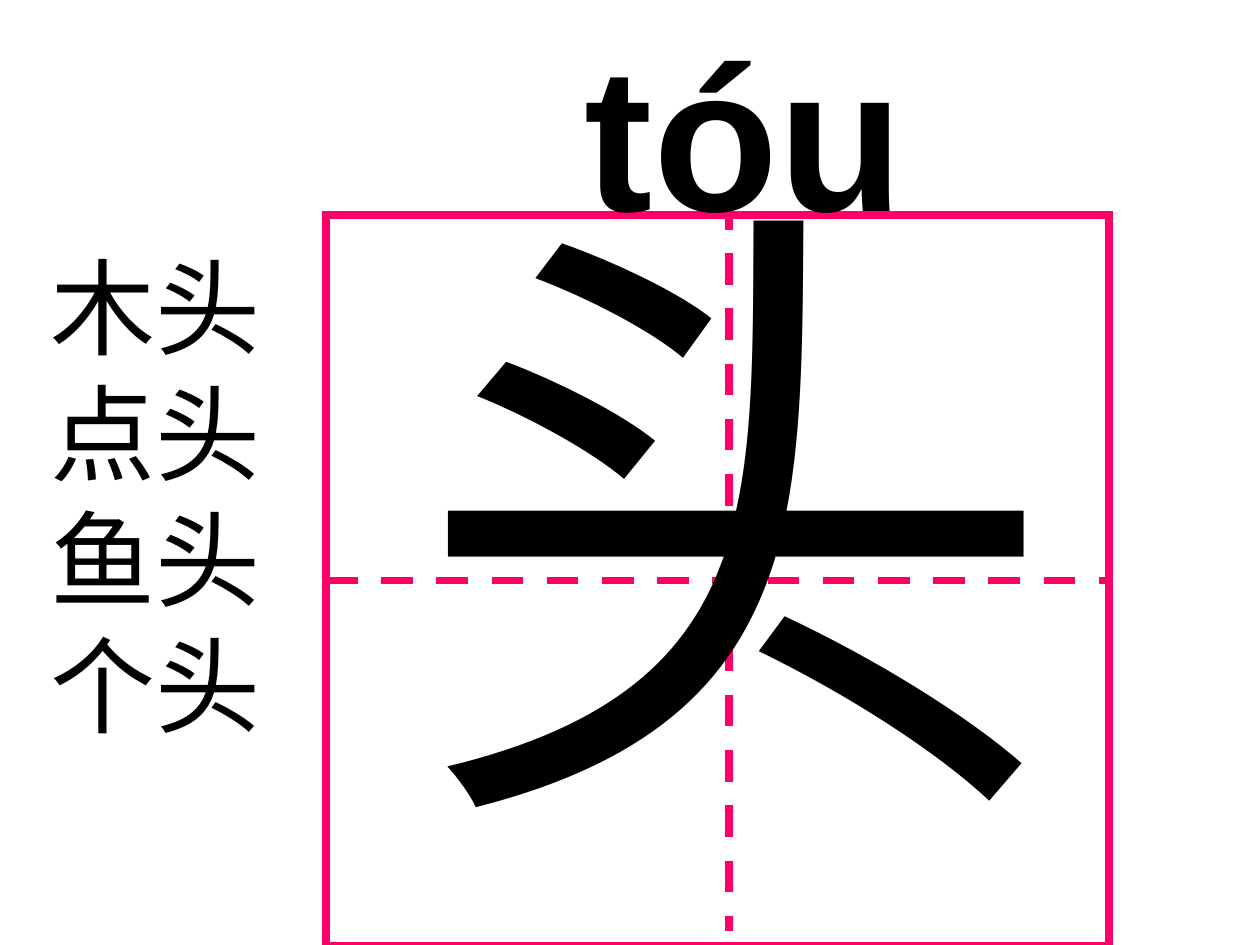
from lxml.etree import SubElement
from pptx import Presentation
from pptx.dml.color import RGBColor
from pptx.enum.dml import MSO_LINE
from pptx.enum.shapes import MSO_CONNECTOR as CONNECTOR, MSO_SHAPE as SHAPE
from pptx.enum.text import MSO_AUTO_SIZE as AUTO_SIZE
from pptx.oxml.ns import qn
from pptx.util import Pt

SCALE = 914400 / 126
INK = "000000"
PINK = "FF0066"
HANZI_FONT = "Arial"


def px(length):
    """Turn pixels into EMU."""
    return round(length * SCALE)


def color(hex_string):
    """Turn a hex string into a colour."""
    return RGBColor.from_string(hex_string)


class CharacterCard:
    """Draw the parts of a character card on one slide."""

    def __init__(self, slide):
        """Keep the slide and start the group of the writing grid."""
        self.slide = slide
        self.grid = slide.shapes.add_group_shape()
        self.line_width = Pt(4.5)

    def frame(self, left, top, width, height):
        """Add the outlined square of the writing grid."""
        shape = self.grid.shapes.add_shape(
            SHAPE.RECTANGLE, px(left), px(top), px(width), px(height))
        shape.shadow.inherit = False
        shape.fill.background()
        shape.line.color.rgb = color(PINK)
        shape.line.width = self.line_width
        outline = shape._element.spPr.find(qn("a:ln"))
        SubElement(outline, qn("a:miter"), lim="800000")
        return shape

    def guide(self, x1, y1, x2, y2):
        """Add a dashed guide line to the writing grid."""
        connector = self.grid.shapes.add_connector(
            CONNECTOR.STRAIGHT, px(x1), px(y1), px(x2), px(y2))
        connector.line.color.rgb = color(PINK)
        connector.line.width = self.line_width
        connector.line.dash_style = MSO_LINE.DASH
        SubElement(connector._element.spPr, qn("a:effectLst"))
        return connector

    def text(self, box, lines, size, font_name, bold=False, wrap=False, indent=0):
        """Add a text box with one paragraph per line."""
        shape = self.slide.shapes.add_textbox(*map(px, box))
        text_frame = shape.text_frame
        text_frame.text = "\n".join(lines)
        text_frame.word_wrap = wrap
        text_frame.auto_size = AUTO_SIZE.SHAPE_TO_FIT_TEXT
        text_frame.margin_left = px(13 + indent)
        for paragraph in text_frame.paragraphs:
            for run in paragraph.runs:
                run.font.size = Pt(size)
                run.font.bold = bold
                run.font.color.rgb = color(INK)
                run.font.name = font_name
                SubElement(run.font._element, qn("a:ea"), typeface=HANZI_FONT)


def main():
    """Build the card and save it."""
    presentation = Presentation()
    presentation.slide_width = px(1260)
    presentation.slide_height = px(945)
    slide = presentation.slides.add_slide(presentation.slide_layouts[6])
    card = CharacterCard(slide)

    frame = card.frame(326, 215, 783, 731)
    horizontal = card.guide(326, 581, 1109, 581)
    horizontal.begin_connect(frame, 1)
    horizontal.end_connect(frame, 3)
    card.guide(729, 198, 729, 931)

    card.text((399, 105, 673, 790), ["头"], 370, "Times New Roman")
    card.text((402, 1, 566, 258), ["tóu"], 117, "Arial",
              bold=True, wrap=True, indent=170)
    card.text((37, 236, 258, 517), ["木头", "点头", "鱼头", "个头"],
              60, "Times New Roman")
    presentation.save("out.pptx")


if __name__ == "__main__":
    main()
